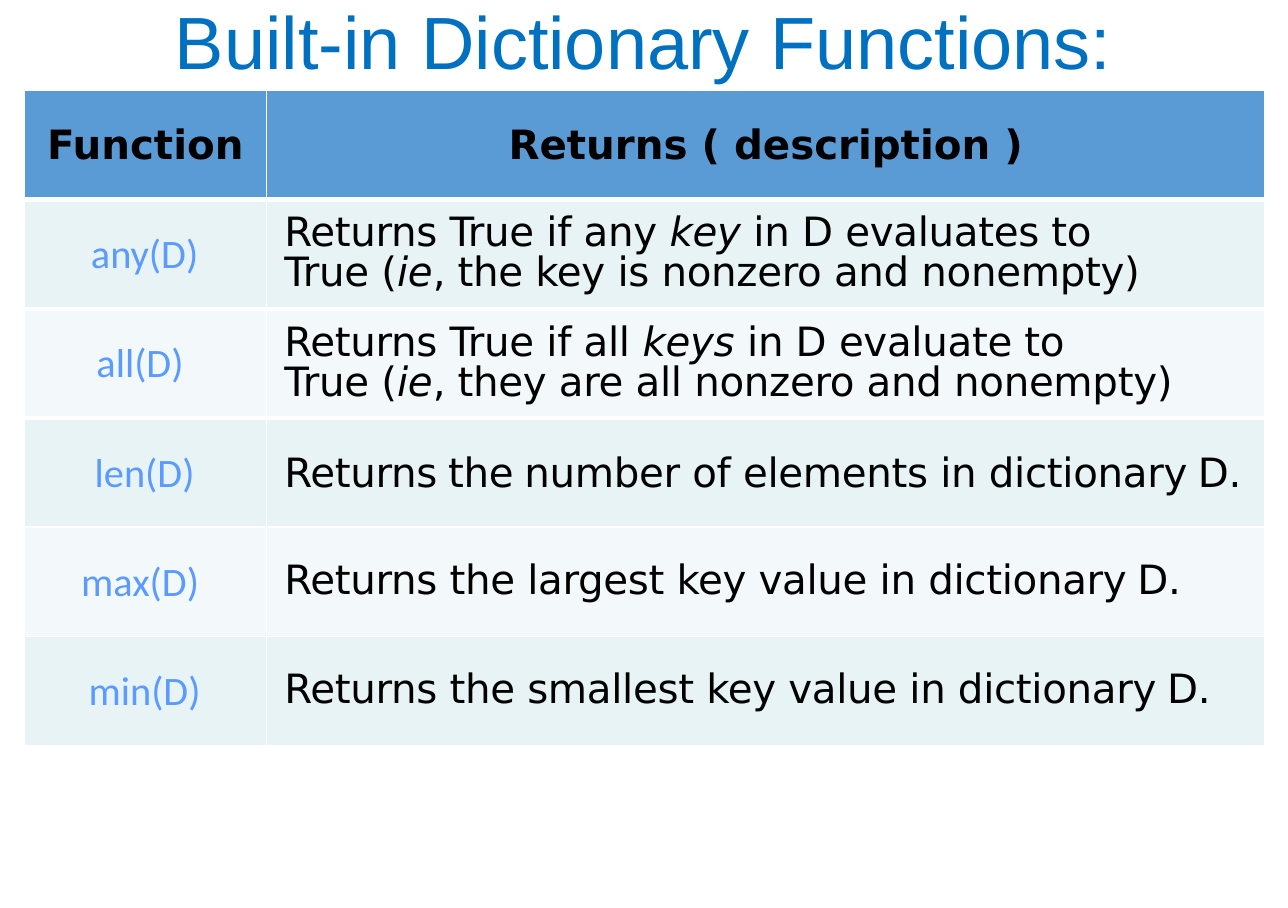
from lxml.etree import SubElement
from pptx import Presentation
from pptx.dml.color import RGBColor
from pptx.enum.text import MSO_ANCHOR, MSO_AUTO_SIZE, PP_ALIGN
from pptx.oxml.ns import qn
from pptx.util import Cm, Pt

COLORS = {
    "title": "0070C0",
    "header": "5B9BD5",
    "odd": "E7F3F4",
    "even": "F3F9FA",
    "function": "5B9BFF",
    "text": "000000",
    "border": "FFFFFF",
}

# A piece starting with * is italic, a lone space is narrower, "\n" breaks the line
FUNCTIONS = [
    ("any(D)", ["Returns True if any ", "*key ", "in D evaluates to ", "\n",
                "True (", "*ie", ", the key is nonzero and nonempty)"]),
    ("all(D) ", ["Returns True if all ", "*keys ", "in D evaluate to", "\n",
                 "True (", "*ie", ", they are all nonzero and nonempty)"]),
    ("len(D)", ["Returns", " ", "the", " ",
                "number of elements in dictionary", " ", "D."]),
    ("max(D) ", ["Returns the largest key value in dictionary", " ", "D."]),
    ("min(D)", ["Returns the smallest key value in dictionary", " ", "D."]),
]
THICK_BORDERS = 3  # the first three rows end in a thick line


def style_run(run, font_name, size, color):
    run.font.name = font_name
    run.font.size = Pt(size)
    run.font.color.rgb = RGBColor.from_string(COLORS[color])


def style_cell(cell, row, fill, left_margin):
    cell.vertical_anchor = MSO_ANCHOR.MIDDLE
    cell.margin_left = Cm(left_margin)
    cell.margin_right = cell.margin_top = Cm(0.03)
    cell.margin_bottom = 0
    properties = cell._tc.get_or_add_tcPr()
    top = 3 if 0 < row <= THICK_BORDERS else 1
    bottom = 3 if row < THICK_BORDERS else 1
    for side, width in (("L", 1), ("R", 1), ("T", top), ("B", bottom)):
        line = SubElement(properties, qn(f"a:ln{side}"), w=str(Pt(width)))
        line_fill = SubElement(line, qn("a:solidFill"))
        SubElement(line_fill, qn("a:srgbClr"), val=COLORS["border"])
    cell.fill.solid()
    cell.fill.fore_color.rgb = RGBColor.from_string(COLORS[fill])


presentation = Presentation()
presentation.slide_width = Cm(27.03)
presentation.slide_height = Cm(19.05)
slide = presentation.slides.add_slide(presentation.slide_layouts[5])

# Title
title = slide.shapes.title
title.left, title.top, title.width, title.height = Cm(0.18), 0, Cm(26.67), Cm(1.9)
title.text_frame.text = "Built-in Dictionary Functions:"
title.text_frame.auto_size = MSO_AUTO_SIZE.NONE
title.text_frame.vertical_anchor = MSO_ANCHOR.MIDDLE
paragraph = title.text_frame.paragraphs[0]
paragraph.alignment = PP_ALIGN.CENTER
paragraph.line_spacing = 0.9
style_run(paragraph.runs[0], "Arial", 44, "title")

# Table grid
row_count = len(FUNCTIONS) + 1
row_height = Cm(2.29)
table = slide.shapes.add_table(row_count, 2, Cm(0.51), Cm(1.9), Cm(26.04),
                               row_height * row_count).table
table.columns[0].width = Cm(5.08)
table.columns[1].width = Cm(20.96)
for table_row in table.rows:
    table_row.height = row_height

# Header row
for column, heading in enumerate(("Function", "Returns ( description )")):
    cell = table.cell(0, column)
    style_cell(cell, 0, "header", 0.03)
    cell.text_frame.text = heading
    paragraph = cell.text_frame.paragraphs[0]
    paragraph.alignment = PP_ALIGN.CENTER
    style_run(paragraph.runs[0], "DejaVu Sans", 24, "text")
    paragraph.runs[0].font.bold = True

# Function rows
for row, (function, pieces) in enumerate(FUNCTIONS, start=1):
    fill = "odd" if row % 2 else "even"
    name_cell, description_cell = table.cell(row, 0), table.cell(row, 1)

    style_cell(name_cell, row, fill, 0)
    name_cell.text_frame.text = function
    paragraph = name_cell.text_frame.paragraphs[0]
    paragraph.alignment = PP_ALIGN.CENTER
    style_run(paragraph.runs[0], "Calibri", 24, "function")

    style_cell(description_cell, row, fill, 0.38)
    paragraph = description_cell.text_frame.paragraphs[0]
    paragraph.line_spacing = 1.0 if function == "len(D)" else 0.85
    for piece in pieces:
        if piece == "\n":
            paragraph.add_line_break()
            continue
        run = paragraph.add_run()
        run.text = piece.lstrip("*")
        style_run(run, "DejaVu Sans", 20 if piece == " " else 24, "text")
        run.font.italic = piece.startswith("*")
        run._r.get_or_add_rPr().set("spc", "-20")

presentation.save("out.pptx")
